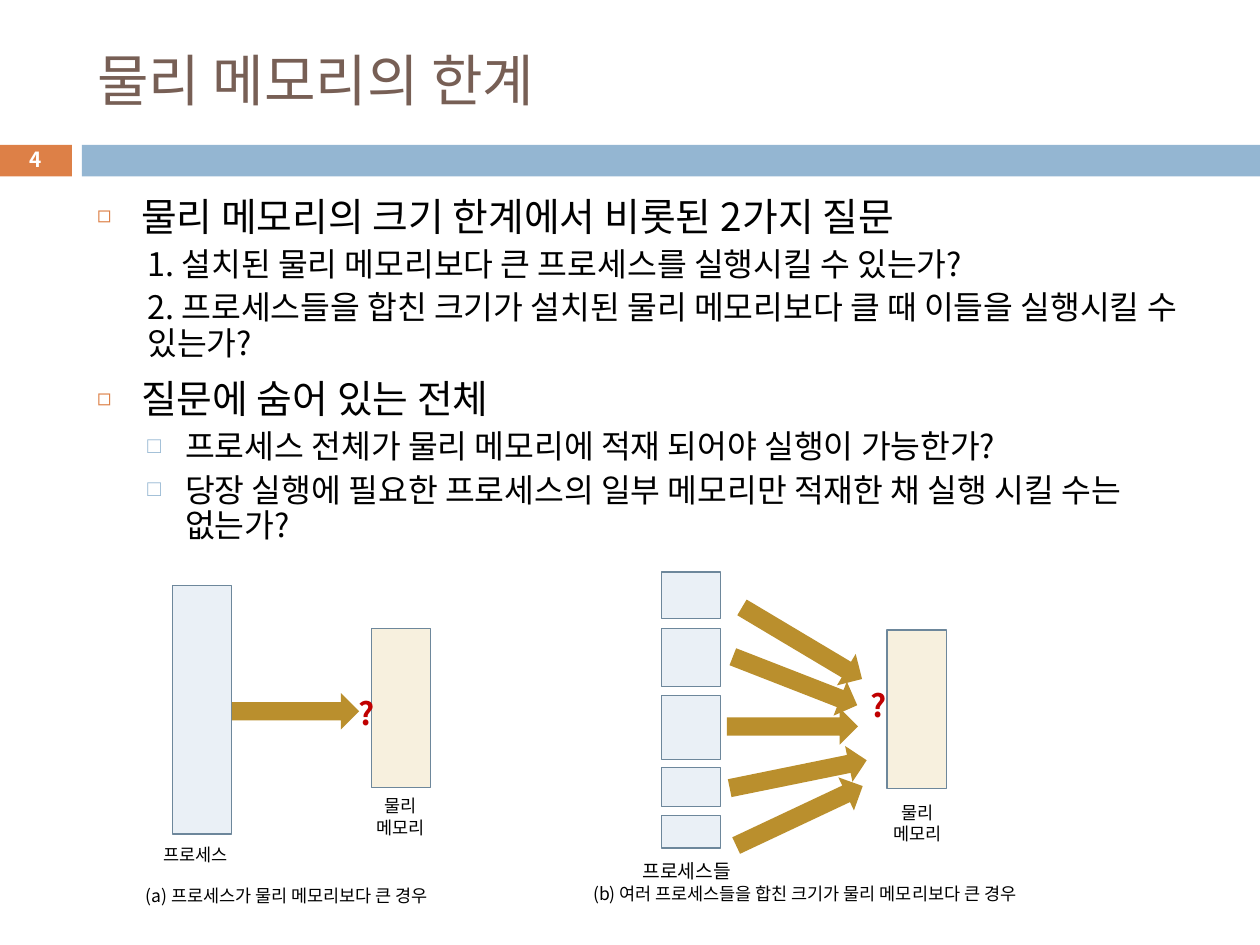
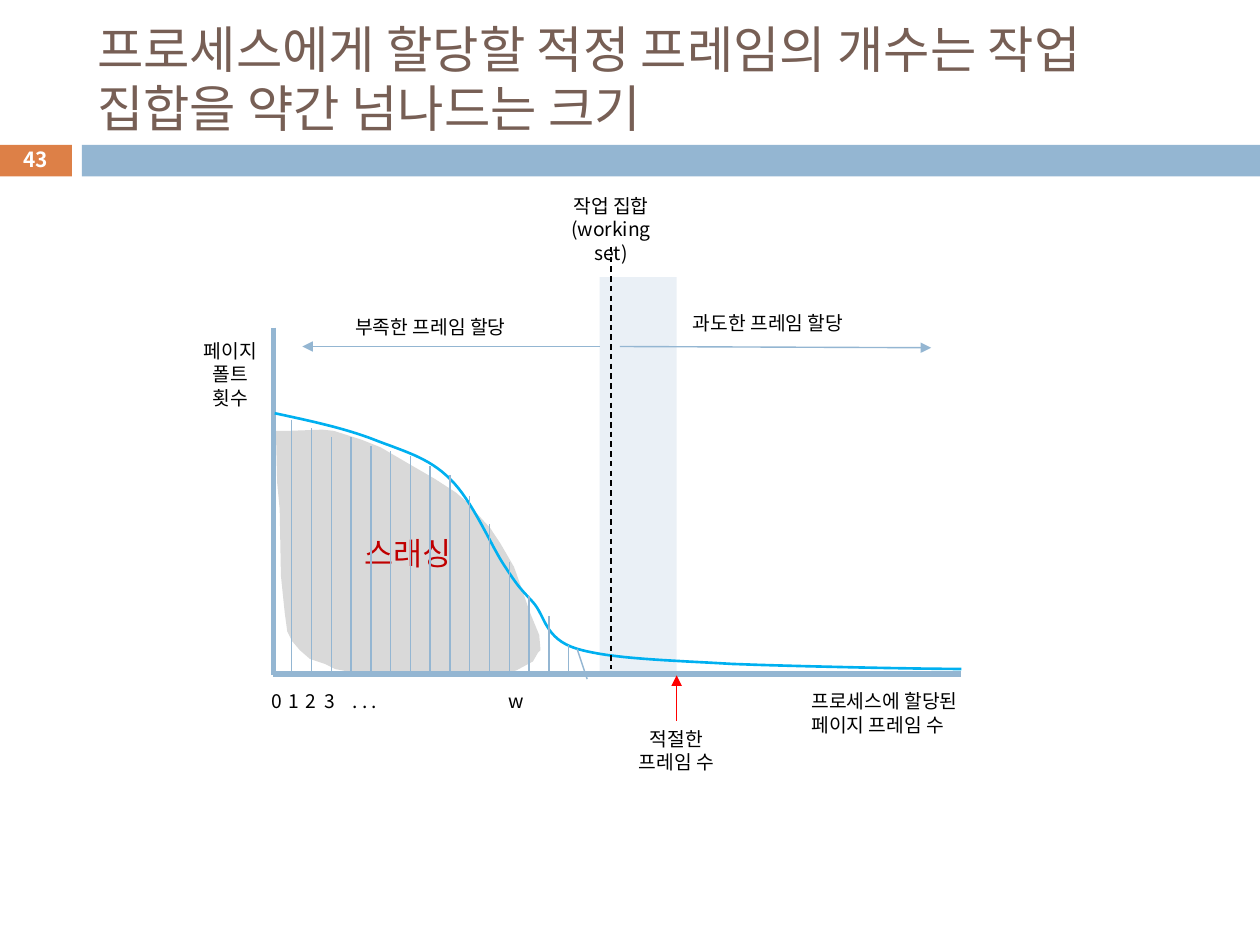
"""Build two slides on the limits of physical memory and on working sets."""
from lxml.etree import SubElement
from pptx import Presentation
from pptx.dml.color import RGBColor
from pptx.enum.dml import MSO_LINE_DASH_STYLE as DASH
from pptx.enum.shapes import MSO_CONNECTOR as CONN, MSO_SHAPE as SHAPE
from pptx.enum.text import MSO_ANCHOR as ANCHOR, MSO_AUTO_SIZE as FIT, PP_ALIGN as ALIGN
from pptx.oxml.ns import qn
from pptx.util import Inches, Pt

FONT = "Noto Sans CJK KR"
BLACK, WHITE, RED, BRIGHT_RED = "000000", "FFFFFF", "C00000", "FF0000"
BROWN, ORANGE, BLUE, CYAN = "775F55", "DD8047", "94B6D2", "00B0F0"
PALE_BLUE, CREAM, SLATE, GOLD, GREY = "EAF0F6", "F7F0DE", "6D879B", "BA8F2D", "D9D9D9"
COLS, ROWS = 100, 75
LEADING = 1.22


def rgb(color):
    return RGBColor.from_string(color)


def write(p, text, size=11, color=BLACK, bold=False, align=ALIGN.LEFT, leading=LEADING, before=0):
    p.alignment = align
    p.line_spacing = Pt(round(size * leading, 1))
    p.space_before = Pt(before)
    r = p.add_run()
    r.text = text
    f = r.font
    f.size, f.bold, f.name = Pt(size), bold, FONT
    f.color.rgb = rgb(color)
    SubElement(r._r.get_or_add_rPr(), qn("a:ea"), typeface=FONT)


def bezier(points, steps=16):
    curve = [points[0]]
    for i in range(0, len(points) - 1, 3):
        a, b, c, d = points[i:i + 4]
        for t in (n / steps for n in range(1, steps + 1)):
            u = 1 - t
            curve.append(tuple(u**3 * a[k] + 3 * u * u * t * b[k] + 3 * u * t * t * c[k] + t**3 * d[k]
                               for k in (0, 1)))
    return curve


class Deck:
    def __init__(self):
        self.prs = Presentation()
        self.prs.slide_width, self.prs.slide_height = Inches(10), Inches(7.5)
        self.col = self.prs.slide_width / COLS
        self.row = self.prs.slide_height / ROWS

    def box(self, x, y, w, h):
        return int(x * self.col), int(y * self.row), int(w * self.col), int(h * self.row)

    def place(self, sp, *at):
        sp.left, sp.top, sp.width, sp.height = self.box(*at)

    def slide(self, title, number, layout, size, leading=LEADING):
        self.s = self.prs.slides.add_slide(self.prs.slide_layouts[layout])
        self.shape((-0.1, 11.5, 5.8, 2.5), ORANGE)
        self.shape((6.5, 11.5, 93.5, 2.5), BLUE)
        sp = self.s.shapes.title
        self.place(sp, 6.7, 2.5, 89.2, 7.4)
        tf = sp.text_frame
        tf.auto_size, tf.vertical_anchor = FIT.NONE, ANCHOR.MIDDLE
        write(tf.paragraphs[0], title, size=size, color=BROWN, leading=leading)
        sp = self.text((-0.1, 11.3, 5.8, 2.7), [number], wrap=True, size=11.9, color=WHITE,
                       bold=True, align=ALIGN.CENTER)
        sp.text_frame.auto_size = FIT.NONE
        sp.text_frame.vertical_anchor = ANCHOR.MIDDLE

    def body(self, at, items):
        sp = self.s.placeholders[1]
        self.place(sp, *at)
        tf = sp.text_frame
        tf.auto_size = FIT.NONE
        styles = {
            "head": dict(level=0, margin=.35, indent=-.35, size=22.2, leading=LEADING, before=7,
                         bullet=("◻", ORANGE, 60)),
            "number": dict(level=1, margin=.4, indent=0, size=18.5, leading=1.1, before=4.5, bullet=None),
            "point": dict(level=1, margin=.7, indent=-.3, size=18.5, leading=1.1, before=4.5,
                          bullet=("□", BLUE, 70)),
        }
        for i, (kind, text) in enumerate(items):
            p = tf.add_paragraph() if i else tf.paragraphs[0]
            st = styles[kind]
            p.level = st["level"]
            pPr = p._p.get_or_add_pPr()
            pPr.set("marL", str(Inches(st["margin"])))
            pPr.set("indent", str(Inches(st["indent"])))
            if st["bullet"]:
                char, color, percent = st["bullet"]
                SubElement(SubElement(pPr, qn("a:buClr")), qn("a:srgbClr"), val=color)
                SubElement(pPr, qn("a:buSzPct"), val=str(percent * 1000))
                SubElement(pPr, qn("a:buChar"), char=char)
            else:
                SubElement(pPr, qn("a:buNone"))
            write(p, text, size=st["size"], leading=st["leading"], before=st["before"] if i else 0)

    def paint(self, sp, fill=None, line=None, width=.75):
        sp.shadow.inherit = False
        if fill:
            sp.fill.solid()
            sp.fill.fore_color.rgb = rgb(fill)
        else:
            sp.fill.background()
        if line:
            sp.line.color.rgb = rgb(line)
            sp.line.width = Pt(width)
        else:
            sp.line.fill.background()
        return sp

    def shape(self, at, fill, line=None, kind=SHAPE.RECTANGLE, turn=0):
        sp = self.s.shapes.add_shape(kind, *self.box(*at))
        sp.rotation = turn
        return self.paint(sp, fill, line)

    def arrow(self, at, turn=0):
        self.shape(at, GOLD, kind=SHAPE.RIGHT_ARROW, turn=turn)

    def outline(self, points, closed, **style):
        pts = [(round(x * self.col), round(y * self.row)) for x, y in points]
        fb = self.s.shapes.build_freeform(*pts[0])
        fb.add_line_segments(pts[1:], close=closed)
        return self.paint(fb.convert_to_shape(), **style)

    def text(self, at, lines, wrap=False, tabs=(), **fmt):
        sp = self.s.shapes.add_textbox(*self.box(*at))
        tf = sp.text_frame
        tf.word_wrap, tf.auto_size = wrap, FIT.SHAPE_TO_FIT_TEXT
        for i, line in enumerate(lines):
            p = tf.add_paragraph() if i else tf.paragraphs[0]
            if tabs:
                tab_list = SubElement(p._p.get_or_add_pPr(), qn("a:tabLst"))
                for stop in tabs:
                    SubElement(tab_list, qn("a:tab"), pos=str(int(stop * self.col)), algn="l")
            write(p, line, **fmt)
        return sp

    def line(self, x1, y1, x2, y2, color=BLUE, width=.79, dash=None, arrow=False):
        cn = self.s.shapes.add_connector(CONN.STRAIGHT, *self.box(x1, y1, x2, y2))
        cn.line.color.rgb = rgb(color)
        cn.line.width = Pt(width)
        if dash:
            cn.line.dash_style = dash
        if arrow:
            SubElement(cn.line._get_or_add_ln(), qn("a:tailEnd"), type="triangle")
        SubElement(cn._element.spPr, qn("a:effectLst"))


def memory_limit(d):
    d.slide("물리 메모리의 한계", "4", layout=1, size=32)
    d.body((6.7, 14.7, 89.2, 30.1), [
        ("head", "물리 메모리의 크기 한계에서 비롯된 2가지 질문"),
        ("number", "1. 설치된 물리 메모리보다 큰 프로세스를 실행시킬 수 있는가?"),
        ("number", "2. 프로세스들을 합친 크기가 설치된 물리 메모리보다 클 때 이들을 실행시킬 수 있는가?"),
        ("head", "질문에 숨어 있는 전체"),
        ("point", "프로세스 전체가 물리 메모리에 적재 되어야 실행이 가능한가?"),
        ("point", "당장 실행에 필요한 프로세스의 일부 메모리만 적재한 채 실행 시킬 수는 없는가?"),
    ])
    d.shape((13.7, 46.5, 4.7, 19.7), PALE_BLUE, SLATE)
    for top, height in ((45.4, 3.7), (49.9, 4.6), (55.2, 5.1), (60.9, 3.1), (64.7, 2.6)):
        d.shape((52.5, top, 4.7, height), PALE_BLUE, SLATE)
    for x, y, label_x, label_y in ((29.5, 49.9, 28.7, 62.6), (70.4, 50, 69.7, 63.1)):
        d.shape((x, y, 4.7, 12.6), CREAM, SLATE)
        d.text((label_x, label_y, 6.2, 4.4), ["물리", "메모리"], size=10, align=ALIGN.CENTER)
    d.arrow((18.4, 55, 10.1, 2.9))
    for x, y, w, turn in ((58.1, 49.6, 11.1, 30.8), (57.8, 52.6, 10.6, 21.3), (57.7, 56.2, 10.4, 0),
                          (57.8, 60, 11.1, 348.5), (57.9, 63.3, 11.1, 334.8)):
        d.arrow((x, y, w, 2.9), turn)
    for x, y in ((27.5, 54.5), (68.1, 53.9)):
        d.text((x, y, 3.2, 4), ["?"], size=18, color=RED, bold=True)
    for x, y, w, size, label in (
            (12, 66.5, 7.6, 10, "프로세스"),
            (50, 67.7, 9.7, 11, "프로세스들"),
            (10.6, 69.7, 27.1, 10, "(a) 프로세스가 물리 메모리보다 큰 경우"),
            (46.1, 69.6, 39.9, 10, "(b) 여러 프로세스들을 합친 크기가 물리 메모리보다 큰 경우")):
        d.text((x, y, w, 2.7), [label], size=size)


def working_set(d):
    d.slide("프로세스에게 할당할 적정 프레임의 개수는 작업 집합을 약간 넘나드는 크기", "43",
            layout=5, size=28.8, leading=1.17)
    d.shape((47.6, 22, 6.1, 31.5), PALE_BLUE)
    thrashing = [
        (21.9, 34.2), (22, 38.3), (22.2, 40.4), (22.3, 45.7), (22.6, 48.6), (22.8, 50.1), (23.2, 50.9),
        (23.8, 51.6), (24.6, 52.3), (25.8, 52.7), (26.6, 53.1), (28.2, 53.4), (32.4, 53.6), (37.5, 53.6),
        (40.1, 53.5), (41, 53.2), (42.3, 52.5), (42.7, 51.8), (42.9, 51.6), (42.8, 50.4), (42.1, 48.7),
        (41.4, 46.7), (40.8, 45), (39.7, 43.1), (38.9, 41.9), (37.8, 40.7), (37, 39.8), (36.2, 39.1),
        (34.5, 38), (32.6, 36.9), (30.2, 35.5), (28.7, 34.9), (26.5, 34.2), (25.6, 34.1), (22.8, 34.2)]
    sp = d.outline(thrashing, True, fill=GREY)
    sp.text_frame.vertical_anchor = ANCHOR.MIDDLE
    write(sp.text_frame.paragraphs[0], "스래싱", size=18, color=RED, align=ALIGN.CENTER)
    d.line(21.7, 53.5, 76.3, 53.5, width=3)
    d.line(21.7, 26, 21.7, 53.6, width=3)
    faults = bezier([
        (21.8, 32.8), (24.6, 33.4), (27.4, 34), (29.7, 34.9), (32, 35.8), (34, 36.3), (35.7, 38),
        (37.5, 39.7), (39, 43.4), (40.1, 45), (41.2, 46.7), (41.4, 46.8), (42.3, 47.8), (43.3, 48.9),
        (43.2, 50.7), (45.8, 51.5), (48.5, 52.3), (53, 52.4), (58.1, 52.7), (63.2, 52.9), (73.4, 53.1),
        (76.3, 53.1)])
    d.outline(faults, False, line=CYAN, width=1.5)
    d.line(48.5, 19.6, 48.5, 53.1, BLACK, dash=DASH.DASH)
    d.line(47.6, 27.5, 24, 27.5, arrow=True)
    d.line(49.2, 27.5, 73.9, 27.6, arrow=True)
    d.line(53.7, 57.2, 53.7, 53.6, BRIGHT_RED, arrow=True)
    tops = (33.3, 34, 34.7, 34.7, 35.4, 35.8, 36.2, 37, 37.7, 39.4, 41.6, 44.6, 47.3, 48.9, 51.2)
    for i, top in enumerate(tops):
        x = 23.15 + 1.57 * i
        d.line(x, top, x, 53.5)
    d.line(45.8, 51.5, 46.6, 53.9)
    d.text((63.4, 54.2, 14.9, 4.7), ["프로세스에 할당된", "페이지 프레임 수"])
    d.text((14.7, 26.4, 7.2, 6.6), ["페이지", "폴트", "횟수"], align=ALIGN.CENTER)
    d.text((43.5, 14.9, 10, 6.6), ["작업 집합", "(working set)"], wrap=True, align=ALIGN.CENTER)
    d.text((27.2, 24.5, 15.4, 2.9), ["부족한 프레임 할당"])
    d.text((54, 24.2, 15.4, 2.9), ["과도한 프레임 할당"])
    d.text((20.6, 54.2, 32.3, 2.9), ["0\t1\t2\t3\t. . .\tw"], wrap=True, tabs=(1.3, 2.7, 4.2, 6.4, 18.8))
    d.text((48.2, 57.2, 11, 4.7), ["적절한", "프레임 수"], wrap=True, align=ALIGN.CENTER)


def main():
    d = Deck()
    memory_limit(d)
    working_set(d)
    d.prs.save("out.pptx")


if __name__ == "__main__":
    main()
